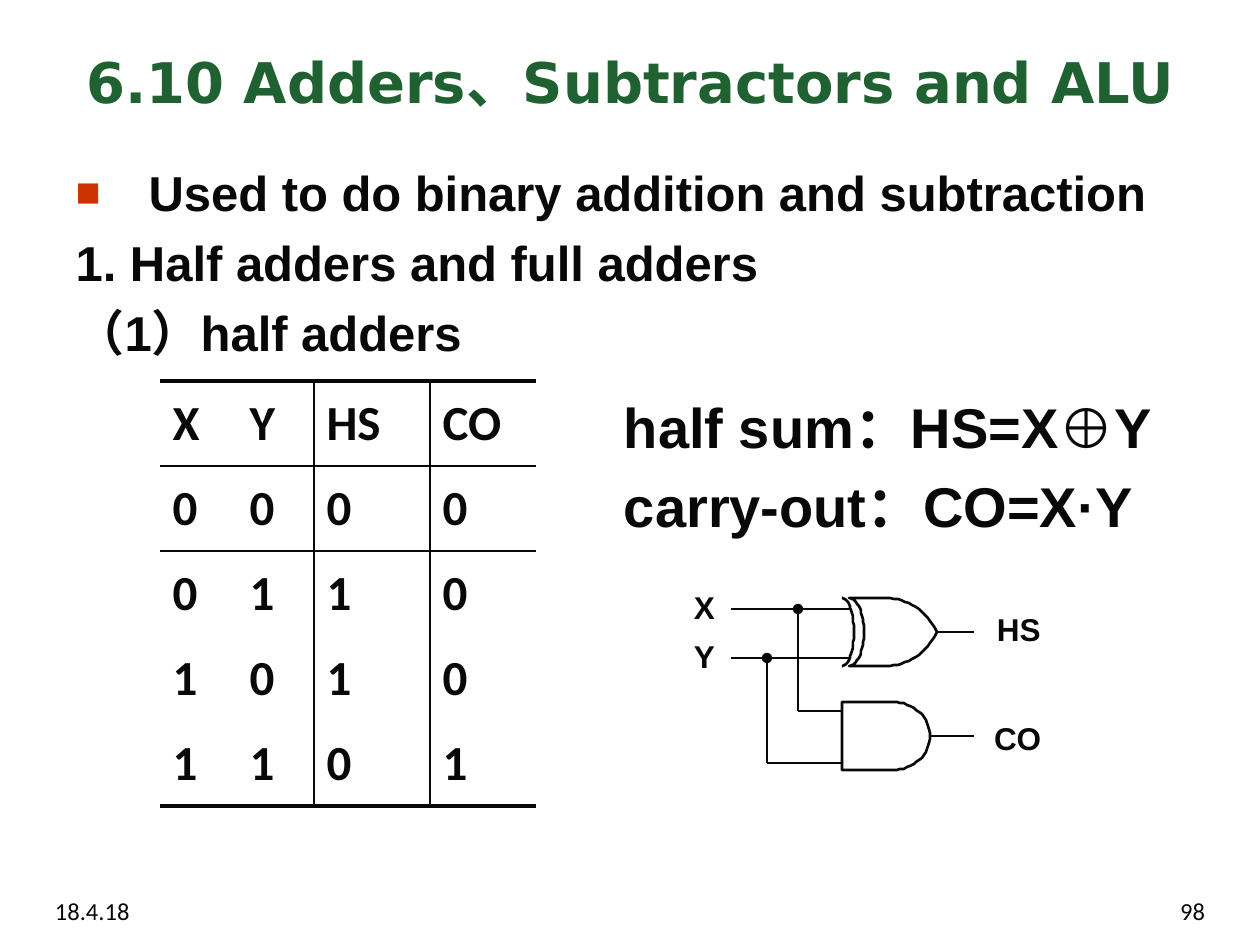
import math

from lxml import etree
from pptx import Presentation
from pptx.dml.color import RGBColor
from pptx.enum.shapes import MSO_CONNECTOR
from pptx.enum.text import MSO_ANCHOR, MSO_AUTO_SIZE, PP_ALIGN
from pptx.oxml.ns import qn
from pptx.util import Pt

STRAIGHT = MSO_CONNECTOR.STRAIGHT
TOP, MIDDLE = MSO_ANCHOR.TOP, MSO_ANCHOR.MIDDLE
LEFT, CENTER, RIGHT = PP_ALIGN.LEFT, PP_ALIGN.CENTER, PP_ALIGN.RIGHT
NO_AUTOFIT = MSO_AUTO_SIZE.NONE
SCALE = 914400 / 126
INK = "080808"
NO_STYLE = "{2D5ABB26-0587-4C30-8999-92F81FD0307C}"


def px(n):
    return round(n * SCALE)


def color(value):
    return RGBColor.from_string(value)


def sub(parent, tag, **attrs):
    return etree.SubElement(parent, qn(tag), {k: str(v) for k, v in attrs.items()})


def place(shape, x, y, w, h):
    shape.left, shape.top, shape.width, shape.height = px(x), px(y), px(w), px(h)


def write(p, text, size=18, font="Arial", fill=INK, bold=True, align=LEFT, before=0):
    p.alignment = align
    p.space_before = Pt(before)
    r = p.add_run()
    r.text = text
    r.font.size, r.font.name, r.font.bold = Pt(size), font, bold
    r.font.color.rgb = color(fill)


def text_box(s, text, x, y, w, h, inset=13, **fmt):
    sp = s.shapes.add_textbox(px(x), px(y), px(w), px(h))
    tf = sp.text_frame
    tf.word_wrap = True
    tf.margin_left = tf.margin_right = px(inset)
    write(tf.paragraphs[0], text, **fmt)


def set_bullet(p, char=None):
    pPr = p._p.get_or_add_pPr()
    pPr.set("marL", str(px(73)))
    pPr.set("indent", str(px(-73)))
    if char is None:
        sub(pPr, "a:buNone")
        return
    sub(sub(pPr, "a:buClr"), "a:srgbClr", val="CC3300")
    sub(pPr, "a:buSzPct", val=85000)
    sub(pPr, "a:buFont", typeface="Arial")
    sub(pPr, "a:buChar", char=char)


def add_title(s, text):
    sp = s.shapes.title
    place(sp, 42, 32, 1177, 98)
    tf = sp.text_frame
    tf.auto_size, tf.vertical_anchor = NO_AUTOFIT, MIDDLE
    write(tf.paragraphs[0], text, size=32, font="DejaVu Sans", fill="1F6130", align=CENTER)


def add_body(s, items):
    sp = s.placeholders[1]
    place(sp, 63, 156, 1134, 689)
    tf = sp.text_frame
    tf.auto_size, tf.vertical_anchor = NO_AUTOFIT, TOP
    for i, (text, char) in enumerate(items):
        p = tf.paragraphs[0] if i == 0 else tf.add_paragraph()
        set_bullet(p, char)
        write(p, text, size=28, before=6.5 if i else 0)


def add_border(cell, tag, width):
    ln = sub(cell._tc.get_or_add_tcPr(), tag, w=Pt(width))
    sub(sub(ln, "a:solidFill"), "a:srgbClr", val=INK)


def add_truth_table(s, rows, widths, row_h):
    frame = s.shapes.add_table(len(rows), len(widths), px(160), px(381),
                               px(sum(widths)), px(row_h * len(rows)))
    table = frame.table
    table.first_row = table.horz_banding = False
    table._tbl.tblPr.find(qn("a:tableStyleId")).text = NO_STYLE
    for column, width in zip(table.columns, widths):
        column.width = px(width)
    last = len(rows) - 1
    for i, row in enumerate(rows):
        table.rows[i].height = px(row_h)
        for j, text in enumerate(row):
            cell = table.cell(i, j)
            cell.vertical_anchor = MIDDLE
            write(cell.text_frame.paragraphs[0], text, size=28, font="Calibri")
            if j == 2:
                add_border(cell, "a:lnL", 1)
            if j == 1:
                add_border(cell, "a:lnR", 1)
            if i < 2:
                add_border(cell, "a:lnT", 1 if i else 2.25)
            if i in (0, last):
                add_border(cell, "a:lnB", 2.25 if i else 1)
            cell.fill.background()


def add_wire(s, x1, y1, x2, y2, dot=False):
    c = s.shapes.add_connector(STRAIGHT, px(x1), px(y1), px(x2), px(y2))
    c.line.color.rgb = color(INK)
    c.line.width = Pt(1.5)
    spPr = c._element.spPr
    if dot:
        sub(spPr.find(qn("a:ln")), "a:headEnd", type="oval")
    sub(spPr, "a:effectLst")


def add_outline(s, points, close=False):
    fb = s.shapes.build_freeform(*points[0], scale=SCALE)
    fb.add_line_segments(points[1:], close=close)
    sp = fb.convert_to_shape()
    sp.shadow.inherit = False
    sp.fill.background()
    sp.line.color.rgb = color(INK)
    sp.line.width = Pt(1.5)


def half_ellipse(x, y, rx, ry, steps=32):
    angles = [math.pi * (i / steps - 0.5) for i in range(steps + 1)]
    return [(x + rx * math.cos(a), y + ry * math.sin(a)) for a in angles]


def bezier(a, b, c, d, steps=16):
    ts = [i / steps for i in range(steps + 1)]
    return [tuple((1 - t) ** 3 * m + 3 * (1 - t) ** 2 * t * n + 3 * (1 - t) * t * t * o + t ** 3 * q
                  for m, n, o, q in zip(a, b, c, d)) for t in ts]


def add_and_gate(s, x, y, ry):
    add_outline(s, [(x, y - ry)] + half_ellipse(x + 51, y, 37, ry) + [(x, y + ry)], close=True)


def add_xor_gate(s, x, y, ry):
    add_outline(s, half_ellipse(x, y, 12, ry))
    upper = bezier((x + 44, y - ry), (x + 65, y - ry), (x + 85, y - 21), (x + 95, y))
    lower = [(a, 2 * y - b) for a, b in reversed(upper)]
    back = half_ellipse(x + 7, y, 15, ry)
    add_outline(s, upper + lower[1:] + back[::-1], close=True)


def add_half_adder(s):
    add_xor_gate(s, 842, 632, 34)
    add_and_gate(s, 842, 736, 34)
    for wire in [(731, 609, 849, 609), (731, 658, 849, 658), (798, 711, 842, 711),
                 (767, 763, 842, 763), (937, 632, 974, 632), (930, 736, 974, 736)]:
        add_wire(s, *wire)
    add_wire(s, 798, 609, 798, 711, dot=True)
    add_wire(s, 767, 658, 767, 763, dot=True)
    for text, x, y, w, inset in [("X", 694, 582, 37, 0), ("Y", 694, 631, 38, 0),
                                 ("HS", 984, 604, 84, 13), ("CO", 994, 713, 84, 0)]:
        text_box(s, text, x, y, w, 50, inset=inset)


def main():
    prs = Presentation()
    prs.slide_width, prs.slide_height = px(1260), px(945)
    s = prs.slides.add_slide(prs.slide_layouts[1])
    add_title(s, "6.10 Adders、Subtractors and ALU")
    add_body(s, [("Used to do binary addition and subtraction", "■"),
                 ("1. Half adders and full adders", None),
                 ("（1）half adders", None)])
    rows = [("X", "Y", "HS", "CO"), "0000", "0110", "1010", "1101"]
    add_truth_table(s, rows, [77, 77, 116, 106], 85)
    text_box(s, "half sum：HS=X⊕Y", 611, 386, 605, 79, size=32)
    text_box(s, "carry-out：CO=X·Y", 611, 465, 592, 79, size=32)
    add_half_adder(s)
    for text, x, align in [("18.4.18", 42, LEFT), ("98", 903, RIGHT)]:
        text_box(s, text, x, 890, 315, 37, size=14, font="Calibri", bold=False, align=align)
    prs.save("out.pptx")


if __name__ == "__main__":
    main()
